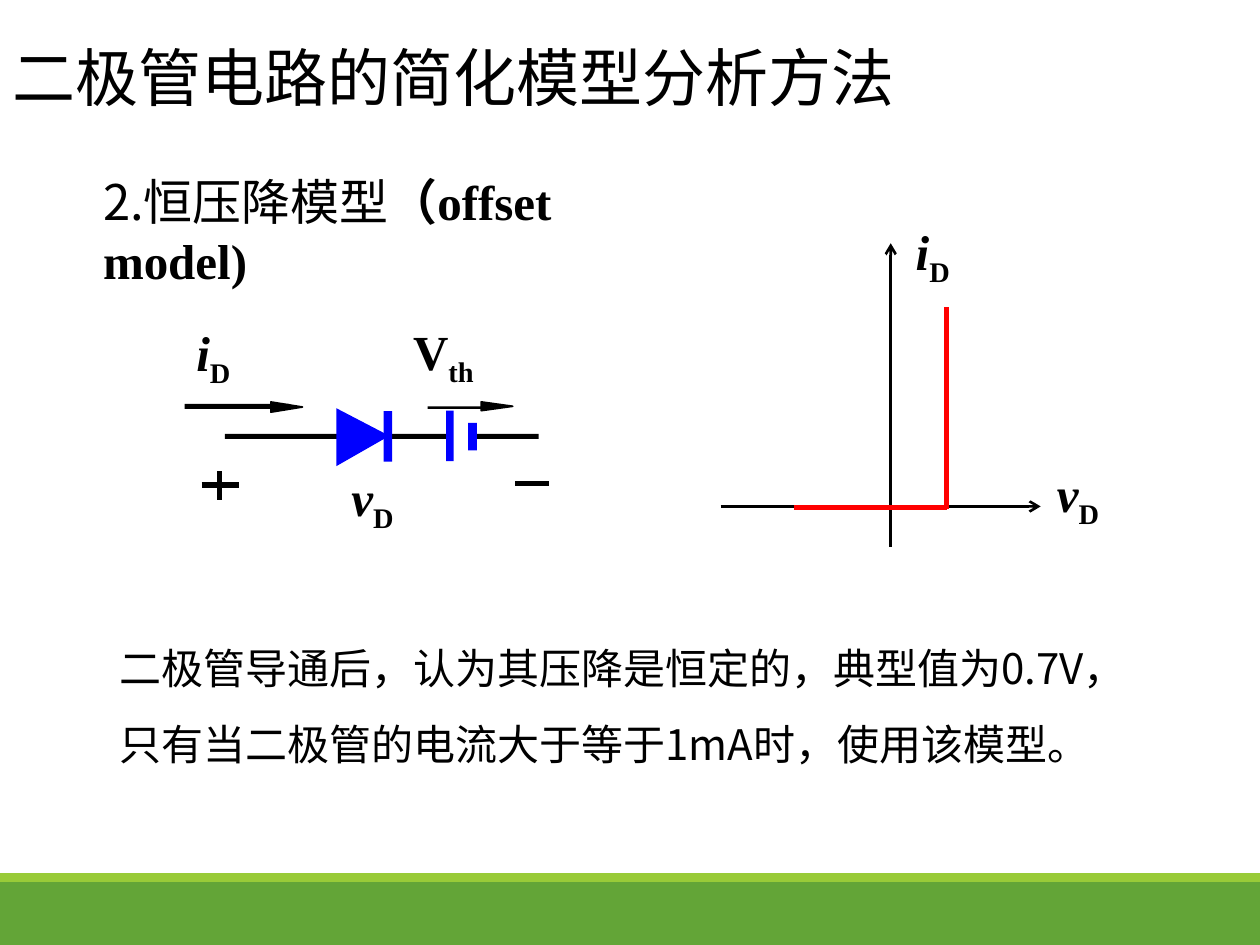
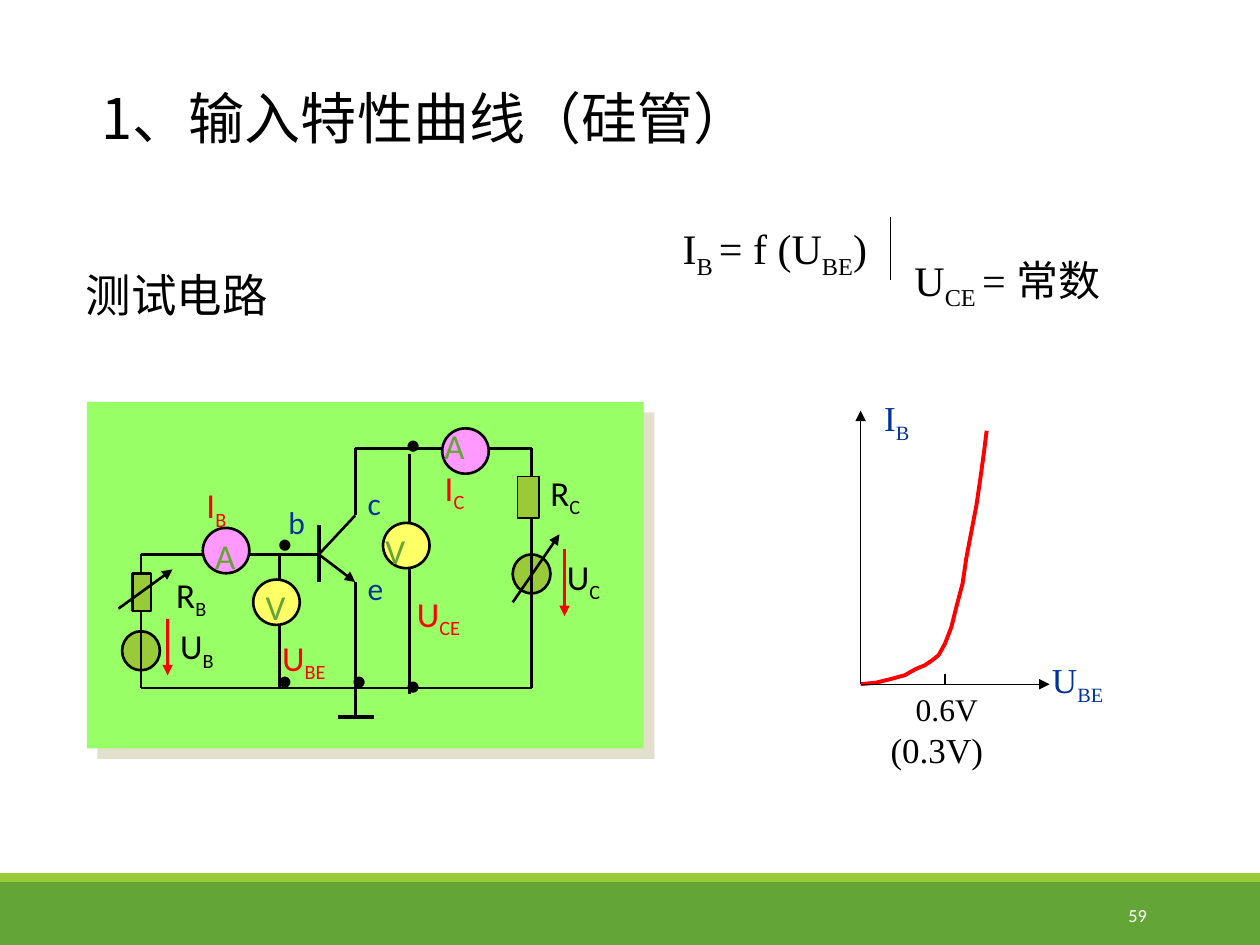
from itertools import pairwise

from lxml import etree
from pptx import Presentation
from pptx import util as u
from pptx.dml.color import RGBColor
from pptx.enum import shapes, text
from pptx.oxml.ns import qn

CJK, SERIF, SANS = "Noto Sans CJK SC", "Times New Roman", "Calibri"
BLACK, WHITE, RED, BLUE, NAVY = "000000", "FFFFFF", "FF0000", "0000FF", "003399"
GREEN, LIME, PANEL, SHADE = "63A537", "99CB38", "99FF66", "E2DFCC"
PINK, YELLOW = "FF99FF", "FFFF66"
RECT, OVAL = shapes.MSO_SHAPE.RECTANGLE, shapes.MSO_SHAPE.OVAL
INSETS = (7.2, 3.6, 7.2, 3.6)


def color(value):
    """Return the colour for a hex string."""
    return RGBColor.from_string(value)


class Sketch:
    """Holds the deck, its shared style and the current page."""

    def __init__(self):
        """Open a deck of 10 by 7.5 inch pages."""
        self.deck = Presentation()
        self.deck.slide_width, self.deck.slide_height = u.Pt(720), u.Pt(540)
        self.page = None

    def new_page(self):
        """Add a page with the two footer bands."""
        self.page = self.deck.slides.add_slide(self.deck.slide_layouts[6])
        self.shape(RECT, 0, 504, 720, 36, GREEN)
        self.shape(RECT, 0, 499, 720, 5, LIME)

    def paint(self, shape, fill, line, width):
        """Set the fill and outline of a shape and drop its shadow."""
        shape.shadow.inherit = False
        if fill:
            shape.fill.solid()
            shape.fill.fore_color.rgb = color(fill)
        else:
            shape.fill.background()
        if line:
            shape.line.color.rgb = color(line)
            shape.line.width = u.Pt(width)
        else:
            shape.line.fill.background()

    def shape(self, kind, x, y, w, h, fill, line=None, width=1.5):
        """Add a preset shape."""
        shape = self.page.shapes.add_shape(kind, u.Pt(x), u.Pt(y), u.Pt(w), u.Pt(h))
        self.paint(shape, fill, line, width)
        return shape

    def panel(self, x, y, w, h):
        """Add a green panel with a hard shadow to the lower right."""
        panel = self.shape(RECT, x, y, w, h, PANEL)
        effects = panel._element.spPr.find(qn("a:effectLst"))
        shadow = etree.SubElement(effects, qn("a:outerShdw"), dist=str(u.Pt(8.5)),
                                  dir="2700000", algn="tl", rotWithShape="0")
        etree.SubElement(shadow, qn("a:srgbClr"), val=SHADE)

    def outline(self, points, fill=None, line=None, width=1, close=True):
        """Add a freeform through the points."""
        points = [(u.Pt(x), u.Pt(y)) for x, y in points]
        builder = self.page.shapes.build_freeform(*points[0], scale=1.0)
        builder.add_line_segments(points[1:], close=close)
        self.paint(builder.convert_to_shape(), fill, line, width)

    def line(self, x1, y1, x2, y2, ink=BLACK, width=1.5, arrow=None):
        """Add a straight line, with an arrowhead at its end if named."""
        line = self.page.shapes.add_connector(
            shapes.MSO_CONNECTOR.STRAIGHT, u.Pt(x1), u.Pt(y1), u.Pt(x2), u.Pt(y2))
        line.line.color.rgb = color(ink)
        line.line.width = u.Pt(width)
        if arrow:
            etree.SubElement(line.line._get_or_add_ln(), qn("a:tailEnd"), type=arrow)
        etree.SubElement(line._element.spPr, qn("a:effectLst"))

    def wire(self, *points):
        """Add connected lines through the points."""
        for start, end in pairwise(points):
            self.line(*start, *end)

    def rich_text(self, x, y, runs, size, font=CJK, ink=BLACK, w=65, h=36, insets=INSETS,
                  spacing=None, middle=False, right=False):
        """Add a text box; each run is its text and a dict of changes."""
        box = self.page.shapes.add_textbox(u.Pt(x), u.Pt(y), u.Pt(w), u.Pt(h))
        frame = box.text_frame
        frame.word_wrap = True
        frame.margin_left, frame.margin_top, frame.margin_right, frame.margin_bottom = map(u.Pt, insets)
        frame.vertical_anchor = text.MSO_ANCHOR.MIDDLE if middle else text.MSO_ANCHOR.TOP
        para = frame.paragraphs[0]
        para.alignment = text.PP_ALIGN.RIGHT if right else text.PP_ALIGN.LEFT
        if spacing:
            para.line_spacing = spacing
        for words, changes in runs:
            span = para.add_run()
            span.text = words
            span.font.size = u.Pt(size)
            span.font.name = changes.get("font", font)
            span.font.bold = changes.get("bold", False)
            span.font.italic = changes.get("italic", False)
            span.font.color.rgb = color(ink)
            props = span._r.get_or_add_rPr()
            etree.SubElement(props, qn("a:ea"), typeface=CJK)
            if changes.get("sub"):
                props.set("baseline", "-25000")

    def label(self, x, y, words, size, font=SANS, ink=BLACK, **layout):
        """Add a text box with a single plain run."""
        self.rich_text(x, y, [(words, {})], size, font, ink, **layout)

    def symbol(self, x, y, name, index, ink=BLACK, font=SANS, size=20, **style):
        """Add a quantity with its subscript."""
        below = {"sub": True, "bold": style.get("bold", False)}
        self.rich_text(x, y, [(name, style), (index, below)], size, font, ink)


def offset_model(sketch):
    """Draw the page on the constant voltage drop model."""
    sketch.new_page()
    sketch.rich_text(51.8, 94.3, [("2.恒压降模型", {}),
                                  ("（offset model)", {"font": SERIF, "bold": True})], 28, w=358.6)
    sketch.label(61.2, 349.2, "二极管导通后，认为其压降是恒定的，典型值为0.7V，"
                 "只有当二极管的电流大于等于1mA时，使用该模型。", 24, CJK, w=593.3, h=88, spacing=1.5)
    sketch.line(411.8, 289.4, 594.7, 289.4, arrow="arrow")
    sketch.line(509, 312.5, 509, 139, arrow="arrow")
    sketch.line(540.7, 175.7, 540.7, 290.9, RED, 3)
    sketch.line(453.6, 290.2, 541.4, 290.2, RED, 3)

    for x1, y1, x2, y2 in [(115.2, 277.2, 136.8, 277.2), (125.3, 269.3, 125.3, 285.8),
                           (294.5, 276.5, 313.9, 276.5)]:
        sketch.line(x1, y1, x2, y2, width=3)
    for x, y, w, h, fill in [(128.5, 248, 179.3, 2.9, BLACK), (256.7, 240.8, 12.2, 17.3, WHITE),
                             (254.9, 234.7, 4.3, 28.8, BLUE), (267.5, 241.6, 5, 15.8, BLUE),
                             (219.2, 235, 5, 28.8, BLUE), (105.5, 230.8, 59.8, 2.9, BLACK),
                             (244.4, 232.2, 32.4, 1.4, BLACK)]:
        sketch.shape(RECT, x, y, w, h, fill)
    sketch.outline([(222.5, 249.1), (192.2, 233.3), (192.2, 266.4)], BLUE)
    for tip, y, half in [(172.8, 232.6, 2.9), (293, 232.2, 2.5)]:
        sketch.outline([(tip, y), (tip - 18, y - half), (tip - 18, y + half)], BLACK, BLACK)

    for x, y, name, index in [(596.9, 261.4, "v", "D"), (516.2, 123.1, "i", "D"),
                              (193.7, 263.5, "v", "D"), (105.1, 180.7, "i", "D"),
                              (229, 180, "V", "th")]:
        sketch.symbol(x, y, name, index, font=SERIF, size=28, bold=True, italic=index == "D")
    sketch.label(0, 0, "二极管电路的简化模型分析方法", 36, CJK, w=612, h=87, middle=True)


def test_circuit(sketch):
    """Draw the transistor test circuit on its panel."""
    sketch.panel(49.7, 229.7, 318.2, 198)
    base, collector, emitter = (182.2, 316.8), (203, 294.5), (203, 332.6)
    left, right, top, bottom = 80.6, 303.8, 256.3, 393.1
    sketch.wire(base, (left, base[1]), (left, bottom), (right, bottom), (right, top),
                (collector[0], top), collector, base)
    sketch.wire(emitter, (203, 409.7))
    sketch.wire((234, 259.2), (234, 396.7))
    sketch.wire((159.8, 316.1), (159.8, bottom))
    sketch.line(*base, *emitter, arrow="triangle")
    sketch.line(182.2, 300.2, 182.2, 332.6, width=2.25)
    sketch.line(193, 409.7, 213.8, 409.7, width=2.25)

    for x, y in [(left, 360.7), (right, 316.8)]:
        sketch.shape(OVAL, x - 10.8, y, 21.6, 22.3, LIME, BLACK)
        sketch.line(x, y, x, y + 22)
    sketch.shape(RECT, 75.6, 327.6, 10.8, 21.6, LIME, BLACK)
    sketch.shape(RECT, 295.9, 272.2, 12.2, 23.8, LIME, BLACK, 0.75)
    for x1, y1, x2, y2, ink in [(67.7, 347.8, 98.6, 325.4, BLACK), (293, 344.2, 319.7, 305.3, BLACK),
                                (95.8, 353.5, 95.8, 385.9, RED), (322.6, 313.9, 322.6, 352.1, RED)]:
        sketch.line(x1, y1, x2, y2, ink, arrow="triangle")

    for x, y, name, fill, dx, dy in [(115.9, 301.7, "A", PINK, 0, 0), (252.7, 244.8, "A", PINK, -5.8, -5.8),
                                     (218.9, 298.8, "V", YELLOW, -5.8, 0), (144.7, 331.2, "V", YELLOW, 0, 0)]:
        sketch.shape(OVAL, x, y, 26.6, 25.9, fill, BLACK)
        sketch.label(x + dx, y + dy, name, 20, ink=GREEN)
    for x, y in [(193.7, 373.7), (224.6, 376.6), (224.6, 239), (151.2, 373.7), (151.2, 295.2)]:
        sketch.label(x, y, "•", 18)
    for x, y, name in [(203, 321.8, "e"), (157.7, 283.7, "b"), (203, 272.9, "c")]:
        sketch.label(x, y, name, 18, ink=NAVY)
    for x, y, name, index, ink in [(95.8, 353.5, "U", "B", BLACK), (316.8, 313.9, "U", "C", BLACK),
                                   (93.6, 324, "R", "B", BLACK), (307.4, 265.7, "R", "C", BLACK),
                                   (110.9, 272.9, "I", "B", RED), (247, 262.8, "I", "C", RED),
                                   (231.1, 334.8, "U", "CE", RED), (154.1, 360, "U", "BE", RED)]:
        sketch.symbol(x, y, name, index, ink)


def input_curve(sketch):
    """Draw the input characteristic with its axes."""
    x, y = 491.8, 391
    sketch.outline([(x, y), (500.4, 390.2), (509, 388.1), (517, 385.9), (523.4, 382.3),
                    (528.5, 380.2), (532.8, 377.3), (536.4, 374.4), (540, 367.9),
                    (543.6, 358.6), (546.5, 347), (550.1, 333.4), (552.2, 319),
                    (555.1, 303.8), (558, 288.7), (560.2, 273.6), (562.3, 258.5),
                    (563.8, 246.2)], line=RED, width=2.25, close=False)
    sketch.line(x, y, x, 234.7, width=0.75, arrow="triangle")
    sketch.line(x, y, 599.8, y, width=0.75, arrow="triangle")
    sketch.line(540, 385.2, 540, y)
    sketch.symbol(498.2, 223.2, "I", "B", NAVY, SERIF)
    sketch.symbol(594, 373, "U", "BE", NAVY, SERIF)
    sketch.label(516.2, y, "0.6V", 18, SERIF)
    sketch.label(501.8, 412.6, "(0.3V)", 20, SERIF, w=79)


def input_characteristic(sketch):
    """Draw the page on the input characteristic."""
    sketch.new_page()
    sketch.label(584.6, 508.3, "59", 10.5, ink=WHITE, w=77.8, h=28.8, middle=True, right=True)
    sketch.label(49, 152.6, "测试电路", 26, CJK, w=120, insets=(0, 0, 0, 0))
    sketch.label(51.1, 43.9, "1、输入特性曲线（硅管）", 32, CJK, w=399.6, h=46)
    below = {"sub": True}
    sketch.rich_text(383, 123.8, [("I", {}), ("B ", below), ("= f (U", {}), ("BE", below), (")", {})],
                     24, SERIF, w=138.2)
    sketch.line(509, 123.8, 509, 159.8, width=0.75)
    sketch.rich_text(515.5, 141.8, [("U", {}), ("CE ", below), ("= 常数", {})], 24, SERIF, w=122)
    test_circuit(sketch)
    input_curve(sketch)


def main():
    """Build both pages and save the deck."""
    sketch = Sketch()
    offset_model(sketch)
    input_characteristic(sketch)
    sketch.deck.save("out.pptx")


if __name__ == "__main__":
    main()
